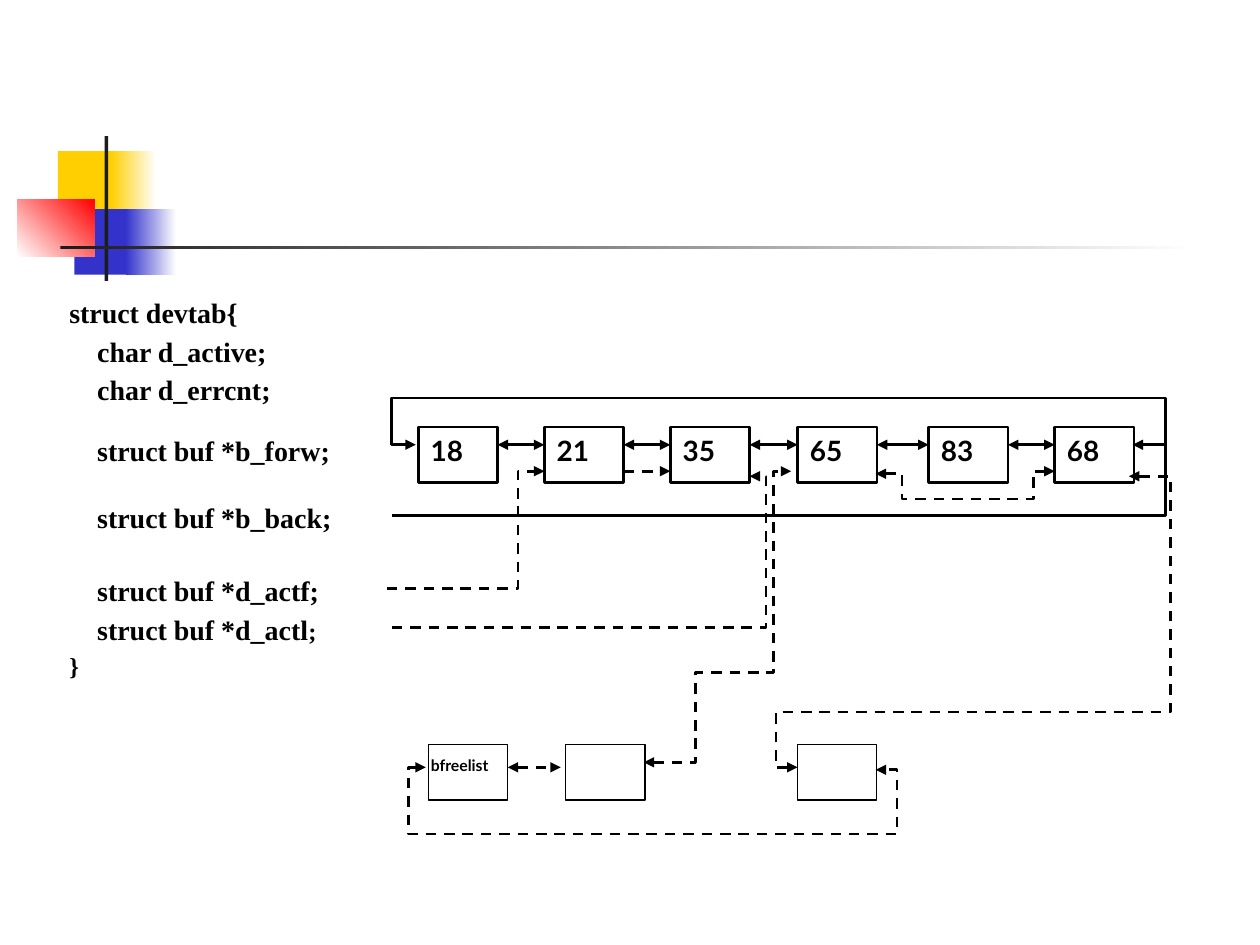
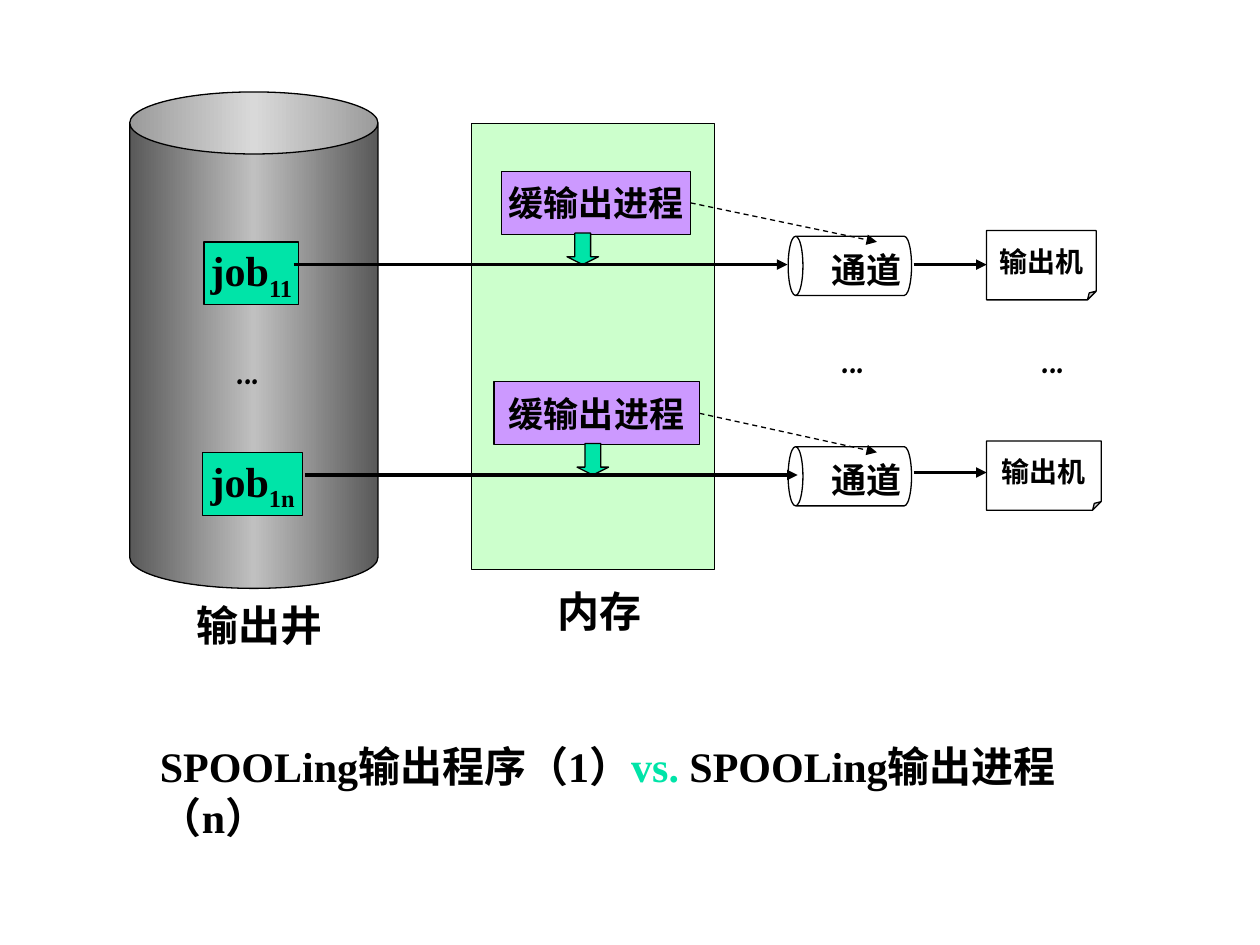
from lxml.etree import SubElement
from pptx import Presentation
from pptx.dml.color import RGBColor
from pptx.enum.dml import MSO_LINE
from pptx.enum.shapes import MSO_CONNECTOR, MSO_SHAPE
from pptx.enum.text import MSO_ANCHOR, PP_ALIGN
from pptx.oxml.ns import qn
from pptx.util import Pt

PX = 9144
RECT, CAN = MSO_SHAPE.RECTANGLE, MSO_SHAPE.CAN
DOWN_ARROW, FOLDED = MSO_SHAPE.DOWN_ARROW, MSO_SHAPE.FOLDED_CORNER
STRAIGHT, DASH = MSO_CONNECTOR.STRAIGHT, MSO_LINE.DASH
TOP, MIDDLE = MSO_ANCHOR.TOP, MSO_ANCHOR.MIDDLE
LEFT, CENTER = PP_ALIGN.LEFT, PP_ALIGN.CENTER

BLACK, WHITE, INK = "000000", "FFFFFF", "1C1C1C"
YELLOW, BLUE, RED = "FFCF01", "3333CC", "FF0000"
GREEN, MINT, LILAC = "00E4A8", "CCFFCC", "CC99FF"
SERIF, SANS, COMIC = "Times New Roman", "Lato", "Comic Neue"
ADJUSTMENTS = {FOLDED: {"adj": 12500}, DOWN_ARROW: {"adj1": 50000, "adj2": 25000}}


def paint(shape, fill=None, angle=0, line=BLACK, weight=0.75, dash=False, ends=""):
    properties = shape._element.spPr
    if isinstance(fill, list):
        shape.fill.gradient()
        shape.fill.gradient_angle = -angle % 360
        stops = properties.find(qn("a:gradFill")).find(qn("a:gsLst"))
        for stop in list(stops):
            stops.remove(stop)
        for index, colour in enumerate(fill):
            position = 100000 * index // (len(fill) - 1)
            stop = SubElement(stops, qn("a:gs"), pos=str(position))
            SubElement(stop, qn("a:srgbClr"), val=colour)
    elif fill:
        shape.fill.solid()
        shape.fill.fore_color.rgb = RGBColor.from_string(fill)
    elif hasattr(shape, "fill"):
        shape.fill.background()
    if line:
        shape.line.color.rgb = RGBColor.from_string(line)
        shape.line.width = Pt(weight)
        if dash:
            shape.line.dash_style = DASH
        for end in ends.split():
            SubElement(properties.find(qn("a:ln")), qn(f"a:{end}End"), type="triangle")
    else:
        shape.line.fill.background()
    SubElement(properties, qn("a:effectLst"))


def write(box, text, size=24, font=SERIF, colour=BLACK, anchor=TOP, align=LEFT,
          wrap=True, before=None, baseline=None):
    frame = box.text_frame
    frame.word_wrap = wrap
    frame.vertical_anchor = anchor
    para = frame.paragraphs[-1] if before is None else frame.add_paragraph()
    para.alignment = align
    if before is not None:
        para.space_before = Pt(before)
    span = para.add_run()
    span.text = text
    span.font.size = Pt(size)
    span.font.name = font
    span.font.bold = True
    span.font.color.rgb = RGBColor.from_string(colour)
    if baseline:
        span._r.get_or_add_rPr().set("baseline", str(baseline * 1000))


deck = Presentation()
deck.slide_width, deck.slide_height = 1000 * PX, 750 * PX
blank = deck.slide_layouts[6]

page = deck.slides.add_slide(blank)
shapes = page.shapes

ornaments = [
    (46, 120, 48, 52, YELLOW, 0),
    (88, 120, 36, 52, [YELLOW, WHITE], 0),
    (59, 166, 46, 52, BLUE, 0),
    (100, 166, 40, 52, [BLUE, WHITE], 0),
    (14, 158, 61, 46, [WHITE, RED], 315),
    (83, 108, 3, 115, INK, 0),
    (48, 195, 900, 3, [INK, WHITE], 0),
]
for left, top, width, height, fill, angle in ornaments:
    ornament = shapes.add_shape(RECT, left * PX, top * PX, width * PX, height * PX)
    paint(ornament, fill, angle, line=None)

code = shapes.add_textbox(55 * PX, 230 * PX, 252 * PX, 305 * PX)
code.text_frame.margin_left = code.text_frame.margin_right = 0
code_lines = [
    ("struct devtab{", None),
    ("    char d_active;", 2.75),
    ("    char d_errcnt;", 2.75),
    ("    struct buf *b_forw;", 15.3),
    ("    struct buf *b_back;", 19.3),
    ("    struct buf *d_actf;", 22.75),
    ("    struct buf *d_actl", 2.75),
]
for text, before in code_lines:
    write(code, text, size=16, before=before)
write(code, ";", size=14)
write(code, "}", size=14, before=3)

BUFFER_WIDTH, BUFFER_HEIGHT = 63, 44
buffers = [(332, "18"), (432, "21"), (532, "35"), (633, "65"), (737, "83"), (837, "68")]
for left, number in buffers:
    buffer = shapes.add_shape(RECT, left * PX, 339 * PX, BUFFER_WIDTH * PX, BUFFER_HEIGHT * PX)
    paint(buffer, weight=1.5)
    write(buffer, number, size=16, font=SANS)

for left, label in [(340, "bfreelist"), (449, ""), (633, "")]:
    free_buffer = shapes.add_shape(RECT, left * PX, 591 * PX, BUFFER_WIDTH * PX, BUFFER_HEIGHT * PX)
    paint(free_buffer)
    if label:
        frame = free_buffer.text_frame
        frame.margin_left = frame.margin_right = 2 * PX
        frame.margin_top = frame.margin_bottom = 9 * PX
        write(free_buffer, label, size=9, font=SANS)

links = [
    ([(left + BUFFER_WIDTH, 353), (following, 353)], "head tail", False)
    for (left, _), (following, _) in zip(buffers, buffers[1:])
]
links += [
    ([(495, 374), (532, 374)], "tail", True),
    ([(403, 609), (445, 609)], "head tail", True),
    ([(330, 353), (311, 353), (311, 316), (925, 316), (925, 353), (899, 353)], "head tail", False),
    ([(311, 409), (925, 409), (925, 352)], "", False),
    ([(695, 376), (716, 376), (716, 396), (820, 396), (820, 374), (837, 374)], "head tail", True),
    ([(511, 605), (552, 605), (552, 534), (614, 534), (614, 374), (628, 374)], "head tail", True),
    ([(307, 467), (411, 467), (411, 374), (432, 374)], "tail", True),
    ([(338, 609), (324, 609), (324, 662), (712, 662), (712, 611), (695, 611)], "head tail", True),
    ([(633, 609), (616, 609), (616, 565), (929, 565), (929, 378), (896, 378)], "head tail", True),
    ([(311, 498), (608, 498), (608, 378), (595, 378)], "tail", True),
]
for points, ends, dash in links:
    if len(points) == 2:
        (x1, y1), (x2, y2) = points
        link = shapes.add_connector(STRAIGHT, x1 * PX, y1 * PX, x2 * PX, y2 * PX)
    else:
        builder = shapes.build_freeform(*points[0], scale=PX)
        builder.add_line_segments(points[1:], close=False)
        link = builder.convert_to_shape()
    paint(link, weight=1.5, dash=dash, ends=ends)

page = deck.slides.add_slide(blank)
shapes = page.shapes

output_well = shapes.add_shape(CAN, 103 * PX, 73 * PX, 197 * PX, 394 * PX)
paint(output_well, ["595959", "C0C0C0", "595959"])
memory = shapes.add_shape(RECT, 374 * PX, 98 * PX, 193 * PX, 354 * PX)
paint(memory, MINT)

captions = [
    (658, 258, 50, "...", COMIC),
    (817, 258, 50, "...", COMIC),
    (178, 267, 58, "...", COMIC),
    (146, 471, 133, "输出井", SERIF),
    (433, 460, 100, "内存", SERIF),
]
for left, top, width, text, font in captions:
    caption = shapes.add_textbox(left * PX, top * PX, width * PX, 50 * PX)
    write(caption, text, font=font)

rows = [
    (0, "11", (162, 75), (398, 150), 450, (233, 625), 210, 87),
    (167, "1n", (161, 79), (392, 163), 458, (242, 633), 208, 91),
]
for drop, index, job_span, process_span, arrow_left, flow, feed, printer_width in rows:
    cells = [
        (RECT, *job_span, 192, 50, GREEN, "job", 24),
        (RECT, *process_span, 136, 50, LILAC, "缓输出进程", 20),
        (FOLDED, 783, printer_width, 183, 55, WHITE, "输出机", 16),
        (DOWN_ARROW, arrow_left, 25, 185, 25, GREEN, "", 0),
    ]
    for kind, left, width, top, height, fill, text, size in cells:
        cell = shapes.add_shape(kind, left * PX, (top + drop) * PX, width * PX, height * PX)
        paint(cell, fill)
        if kind in ADJUSTMENTS:
            guides = cell._element.spPr.find(qn("a:prstGeom")).find(qn("a:avLst"))
            for guide in list(guides):
                guides.remove(guide)
            for name, value in ADJUSTMENTS[kind].items():
                SubElement(guides, qn("a:gd"), name=name, fmla=f"val {value}")
        if text:
            write(cell, text, size=size, anchor=MIDDLE, align=CENTER, wrap=False)
        if text == "job":
            write(cell, index, anchor=MIDDLE, align=CENTER, wrap=False, baseline=-25)

    channel = shapes.add_shape(CAN, 651 * PX, (162 + drop) * PX, 47 * PX, 98 * PX)
    channel.rotation = 270
    paint(channel)
    channel_label = shapes.add_textbox(650 * PX, (192 + drop) * PX, 92 * PX, 44 * PX)
    write(channel_label, "通道", size=20)

    arrows = [
        (flow[0], 210, flow[1], 210, 2, False),
        (725, feed, 783, feed, 2, False),
        (sum(process_span), 161, 696, 192, 0.75, True),
    ]
    for x1, y1, x2, y2, weight, dash in arrows:
        arrow = shapes.add_connector(
            STRAIGHT, x1 * PX, (y1 + drop) * PX, x2 * PX, (y2 + drop) * PX)
        paint(arrow, weight=weight, dash=dash, ends="tail")

summary = shapes.add_textbox(117 * PX, 583 * PX, 775 * PX, 90 * PX)
write(summary, "SPOOLing输出程序（1）")
write(summary, "vs.", colour=GREEN)
write(summary, " SPOOLing输出进程（n）")

deck.save("out.pptx")
